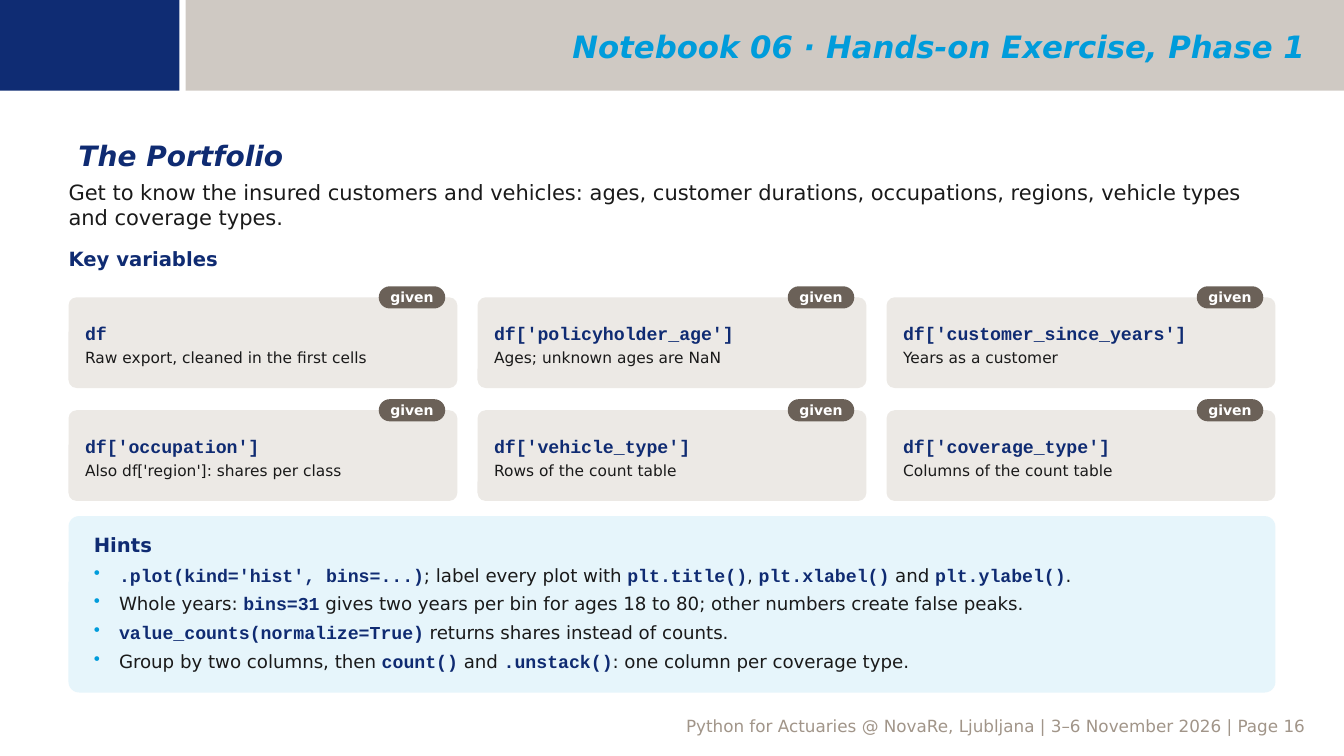
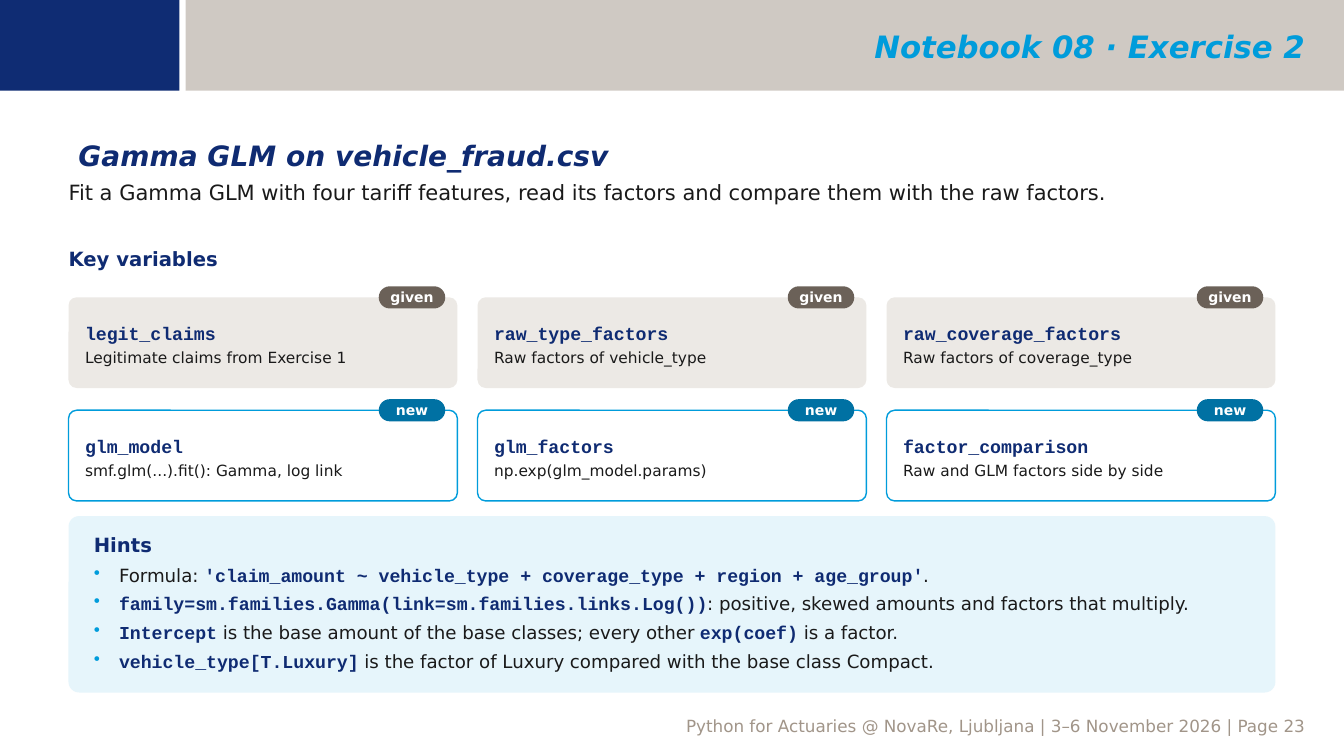
from pptx import Presentation
from pptx.dml.color import RGBColor
from pptx.enum.shapes import MSO_SHAPE
from pptx.enum.text import MSO_ANCHOR, PP_ALIGN
from pptx.oxml.ns import qn
from pptx.util import Inches, Pt
from lxml.etree import SubElement

NAVY = RGBColor(0x0F, 0x2B, 0x72)
LOGO = RGBColor(0x0F, 0x2C, 0x73)
CYAN = RGBColor(0x00, 0x9C, 0xDB)
BLUE = RGBColor(0x00, 0x71, 0xA3)
PALE = RGBColor(0xE6, 0xF5, 0xFB)
TAUPE = RGBColor(0xA1, 0x95, 0x89)
BROWN = RGBColor(0x6B, 0x61, 0x58)
SAND = RGBColor(0xEC, 0xE9, 0xE5)
INK = RGBColor(0x1A, 0x1A, 0x1A)
WHITE = RGBColor(0xFF, 0xFF, 0xFF)

SANS, MONO = "DejaVu Sans", "Courier New"
WIDE, HIGH = 13.33, 7.5
LEFT, SPAN = 0.68, 11.97
COLS, GAP = 3, 0.2
CARD_H, ROW_GAP = 0.9, 0.22
INSET = (0.1, 0.05, 0.1, 0.05)
FLUSH = (0, 0, 0, 0)

# Card style: fill, line, tag fill
STYLES = {"given": (SAND, None, BROWN), "new": (WHITE, CYAN, BLUE)}

SLIDES = [
    {
        "head": "Notebook 06 · Hands-on Exercise, Phase 1",
        "title": "The Portfolio",
        "intro": "Get to know the insured customers and vehicles: ages, customer "
                 "durations, occupations, regions, vehicle types and coverage types.",
        "page": 16,
        "cards": [
            ("df", "Raw export, cleaned in the first cells", "given"),
            ("df['policyholder_age']", "Ages; unknown ages are NaN", "given"),
            ("df['customer_since_years']", "Years as a customer", "given"),
            ("df['occupation']", "Also df['region']: shares per class", "given"),
            ("df['vehicle_type']", "Rows of the count table", "given"),
            ("df['coverage_type']", "Columns of the count table", "given"),
        ],
        "hints": [
            "`.plot(kind='hist', bins=...)`; label every plot with `plt.title()`, "
            "`plt.xlabel()` and `plt.ylabel()`.",
            "Whole years: `bins=31` gives two years per bin for ages 18 to 80; "
            "other numbers create false peaks.",
            "`value_counts(normalize=True)` returns shares instead of counts.",
            "Group by two columns, then `count()` and `.unstack()`: "
            "one column per coverage type.",
        ],
    },
    {
        "head": "Notebook 08 · Exercise 2",
        "title": "Gamma GLM on vehicle_fraud.csv",
        "intro": "Fit a Gamma GLM with four tariff features, read its factors "
                 "and compare them with the raw factors.",
        "page": 23,
        "cards": [
            ("legit_claims", "Legitimate claims from Exercise 1", "given"),
            ("raw_type_factors", "Raw factors of vehicle_type", "given"),
            ("raw_coverage_factors", "Raw factors of coverage_type", "given"),
            ("glm_model", "smf.glm(...).fit(): Gamma, log link", "new"),
            ("glm_factors", "np.exp(glm_model.params)", "new"),
            ("factor_comparison", "Raw and GLM factors side by side", "new"),
        ],
        "hints": [
            "Formula: `'claim_amount ~ vehicle_type + coverage_type + region + age_group'`.",
            "`family=sm.families.Gamma(link=sm.families.links.Log())`: "
            "positive, skewed amounts and factors that multiply.",
            "`Intercept` is the base amount of the base classes; "
            "every other `exp(coef)` is a factor.",
            "`vehicle_type[T.Luxury]` is the factor of Luxury compared "
            "with the base class Compact.",
        ],
    },
]


def set_frame(shape, inset, anchor):
    frame = shape.text_frame
    frame.word_wrap = True
    frame.vertical_anchor = anchor
    (frame.margin_left, frame.margin_top,
     frame.margin_right, frame.margin_bottom) = map(Inches, inset)
    return frame


def add_box(slide, box, inset=INSET, anchor=MSO_ANCHOR.TOP):
    """Add an empty text box and return its frame."""
    return set_frame(slide.shapes.add_textbox(*map(Inches, box)), inset, anchor)


def add_panel(slide, box, fill, line=None, round=None, inset=INSET,
              anchor=MSO_ANCHOR.MIDDLE):
    """Add a filled rectangle, with rounded corners if round is given."""
    kind = MSO_SHAPE.RECTANGLE if round is None else MSO_SHAPE.ROUNDED_RECTANGLE
    shape = slide.shapes.add_shape(kind, *map(Inches, box))
    shape.shadow.inherit = False
    if round is not None:
        shape.adjustments[0] = round
    shape.fill.solid()
    shape.fill.fore_color.rgb = fill
    if line is None:
        shape.line.fill.background()
    else:
        shape.line.color.rgb = line
        shape.line.width = Pt(1)
    set_frame(shape, inset, anchor)
    return shape


def add_bullet(para, indent):
    props = para._p.get_or_add_pPr()
    props.set("marL", str(Inches(indent)))
    props.set("indent", str(-Inches(indent)))
    color = SubElement(props, qn("a:buClr"))
    SubElement(color, qn("a:srgbClr"), val=str(CYAN))
    SubElement(props, qn("a:buChar"), char="•")


def write(frame, text, size, color=INK, bold=False, italic=False,
          align=PP_ALIGN.LEFT, before=0, bullet=False):
    """Add a paragraph; parts between backticks are set as code."""
    para = frame.add_paragraph() if frame.text else frame.paragraphs[0]
    para.alignment = align
    para.space_before = Pt(before)
    if bullet:
        add_bullet(para, 0.25)
    for i, part in enumerate(text.split("`")):
        if not part:
            continue
        code = i % 2 == 1
        run = para.add_run()
        run.text = part
        font = run.font
        font.name = MONO if code else SANS
        font.size = Pt(size)
        font.bold = code or bold
        font.italic = italic
        font.color.rgb = NAVY if code else color


def draw_bands(slide, head, page):
    """Draw the header bands and the footer."""
    band = add_panel(slide, (1.84, 0, WIDE - 1.84, 0.9), TAUPE)
    color = band.fill._xPr.find(qn("a:solidFill"))[0]
    SubElement(color, qn("a:alpha"), val="50000")
    add_panel(slide, (0, 0, 1.78, 0.9), LOGO)
    frame = add_box(slide, (2.02, 0.04, 11.02, 0.84), anchor=MSO_ANCHOR.MIDDLE)
    write(frame, head, 22, CYAN, bold=True, italic=True, align=PP_ALIGN.RIGHT)
    frame = add_box(slide, (0.76, 7.05, 12.29, 0.3))
    write(frame, "Python for Actuaries @ NovaRe, Ljubljana | "
          f"3–6 November 2026 | Page {page}", 12, TAUPE, align=PP_ALIGN.RIGHT)


def draw_intro(slide, title, intro, top):
    frame = add_box(slide, (LEFT, top, SPAN, 0.4))
    write(frame, title, 20, NAVY, bold=True, italic=True)
    frame = add_box(slide, (LEFT, top + 0.46, SPAN, 0.62), FLUSH)
    write(frame, intro, 15)
    frame = add_box(slide, (LEFT, top + 1.13, 6, 0.32), FLUSH)
    write(frame, "Key variables", 14, NAVY, bold=True)


def draw_card(slide, box, name, note, tag):
    """Draw one variable with its tag on the top edge."""
    left, top, width, _ = box
    fill, line, dark = STYLES[tag]
    card = add_panel(slide, box, fill, line, 0.09, (0.14, 0.1, 0.14, 0.06))
    write(card.text_frame, f"`{name}`", 13)
    write(card.text_frame, note, 11, before=3)
    tag_w, tag_h = 0.66, 0.22
    spot = (left + width - tag_w - 0.12, top - tag_h / 2, tag_w, tag_h)
    pill = add_panel(slide, spot, dark, round=0.5, inset=FLUSH)
    write(pill.text_frame, tag, 10, WHITE, bold=True, align=PP_ALIGN.CENTER)


def draw_grid(slide, cards, left, top, width):
    card_w = (width - (COLS - 1) * GAP) / COLS
    for i, card in enumerate(cards):
        row, col = divmod(i, COLS)
        box = (left + col * (card_w + GAP), top + row * (CARD_H + ROW_GAP),
               card_w, CARD_H)
        draw_card(slide, box, *card)


def draw_hints(slide, hints, box):
    panel = add_panel(slide, box, PALE, round=0.06,
                      inset=(0.22, 0.14, 0.22, 0.1), anchor=MSO_ANCHOR.TOP)
    write(panel.text_frame, "Hints", 14, NAVY, bold=True)
    for hint in hints:
        write(panel.text_frame, hint, 13, before=5, bullet=True)


def draw_slide(deck, data):
    slide = deck.slides.add_slide(deck.slide_layouts[6])
    draw_bands(slide, data["head"], data["page"])
    draw_intro(slide, data["title"], data["intro"], 1.32)
    draw_grid(slide, data["cards"], LEFT, 2.95, SPAN)
    draw_hints(slide, data["hints"], (LEFT, 5.12, SPAN, 1.75))


def main():
    deck = Presentation()
    deck.slide_width, deck.slide_height = Inches(WIDE), Inches(HIGH)
    for data in SLIDES:
        draw_slide(deck, data)
    deck.save("out.pptx")


if __name__ == "__main__":
    main()
